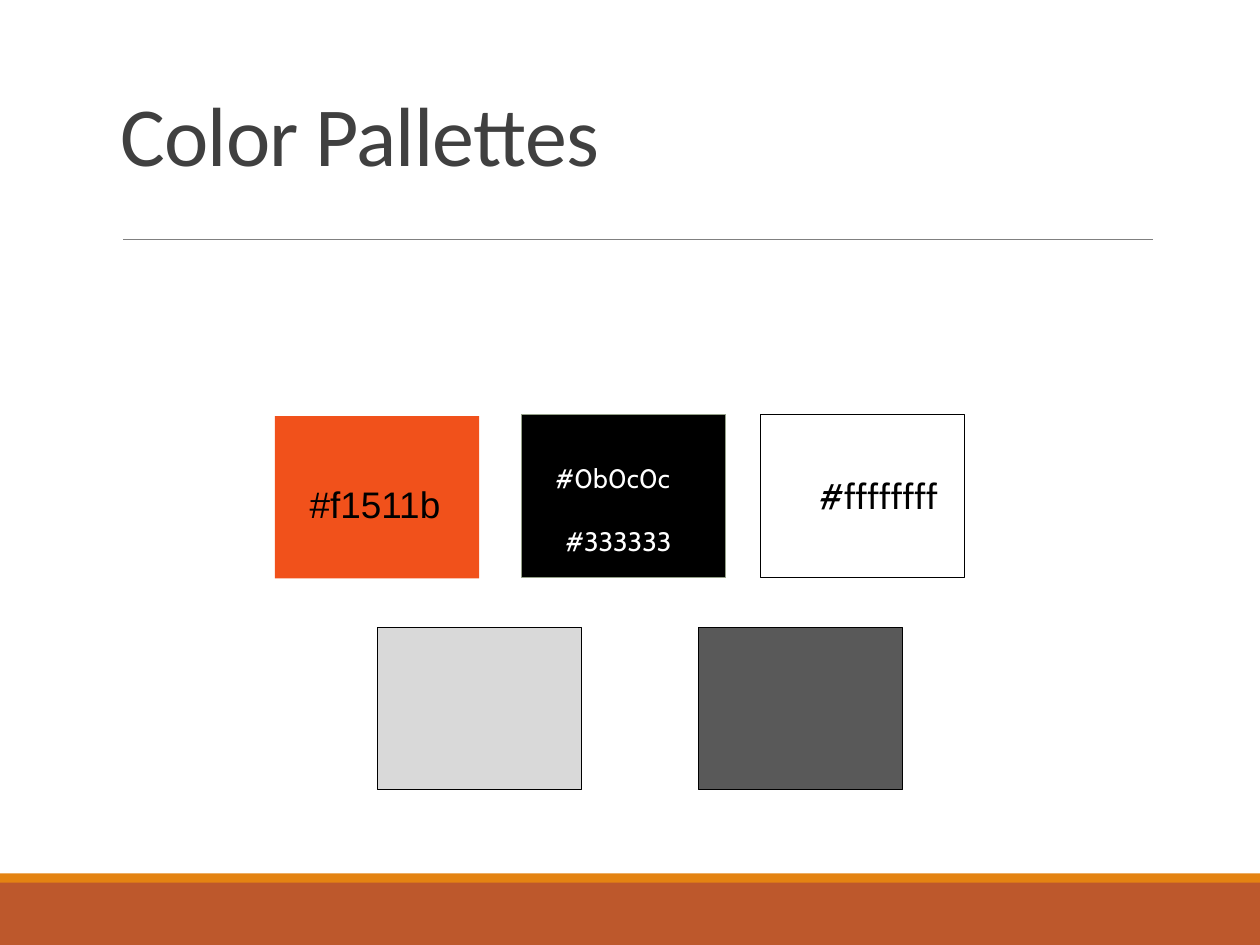
from dataclasses import dataclass

from lxml import etree
from pptx import Presentation
from pptx.dml.color import RGBColor
from pptx.enum import shapes, text
from pptx.oxml import ns
from pptx.util import Inches, Pt


@dataclass(frozen=True)
class Theme:
    orange: str = "F1511B"
    black: str = "000000"
    white: str = "FFFFFF"
    light_gray: str = "D9D9D9"
    dark_gray: str = "595959"
    sage: str = "94A088"
    title: str = "404040"
    rule: str = "808080"
    footer: str = "BD582C"
    footer_edge: str = "E48312"
    title_size: float = 85.3
    large_size: float = 37.5
    medium_size: float = 36
    small_size: float = 27


THEME = Theme()
SLIDE_WIDTH, SLIDE_HEIGHT = 17.78, 13.33
SWATCH_WIDTH, SWATCH_HEIGHT = 2.88, 2.29


def write(frame, content, *, font, size, color, spacing=None, line_spacing=None,
          anchor=text.MSO_ANCHOR.TOP):
    frame.word_wrap = True
    frame.auto_size = text.MSO_AUTO_SIZE.NONE
    frame.vertical_anchor = anchor
    paragraph = frame.paragraphs[0]
    paragraph.alignment = text.PP_ALIGN.LEFT
    paragraph.line_spacing = line_spacing
    run = paragraph.add_run()
    run.text = content
    run.font.name = font
    run.font.size = Pt(size)
    run.font.color.rgb = RGBColor.from_string(color)
    if spacing is not None:
        run.font._element.set("spc", str(round(spacing * 100)))


def add_block(slide, left, top, width, height, fill, outline=None):
    block = slide.shapes.add_shape(
        shapes.MSO_SHAPE.RECTANGLE,
        Inches(left), Inches(top), Inches(width), Inches(height))
    block.shadow.inherit = False
    block.fill.solid()
    block.fill.fore_color.rgb = RGBColor.from_string(fill)
    if outline:
        block.line.color.rgb = RGBColor.from_string(outline)
        block.line.width = Pt(1)
    else:
        block.line.fill.background()


def add_label(slide, content, left, top, width, height, **style):
    label = slide.shapes.add_textbox(
        Inches(left), Inches(top), Inches(width), Inches(height))
    write(label.text_frame, content, **style)


def add_rule(slide, left, right, y):
    rule = slide.shapes.add_connector(
        shapes.MSO_CONNECTOR.STRAIGHT,
        Inches(left), Inches(y), Inches(right), Inches(y))
    rule.line.color.rgb = RGBColor.from_string(THEME.rule)
    rule.line.width = Pt(0.5)
    etree.SubElement(rule._element.spPr, ns.qn("a:effectLst"))


def set_title(slide, content):
    title = slide.shapes.title
    title.left, title.top = Inches(1.6), Inches(0.56)
    title.width, title.height = Inches(14.67), Inches(2.82)
    write(title.text_frame, content, font="Calibri", size=THEME.title_size,
          color=THEME.title, spacing=-0.9, line_spacing=0.9,
          anchor=text.MSO_ANCHOR.MIDDLE)


def main():
    deck = Presentation()
    deck.slide_width, deck.slide_height = Inches(SLIDE_WIDTH), Inches(SLIDE_HEIGHT)
    slide = deck.slides.add_slide(deck.slide_layouts[5])

    add_block(slide, 0, 12.44, SLIDE_WIDTH, 0.89, THEME.footer)
    add_block(slide, 0, 12.32, SLIDE_WIDTH, 0.13, THEME.footer_edge)
    add_rule(slide, 1.74, 16.27, 3.38)
    set_title(slide, "Color Pallettes")

    swatches = [
        (3.88, 5.87, THEME.orange, None),
        (7.36, 5.85, THEME.black, THEME.sage),
        (10.73, 5.85, THEME.white, THEME.black),
        (5.33, 8.85, THEME.light_gray, THEME.black),
        (9.86, 8.85, THEME.dark_gray, THEME.black),
    ]
    for left, top, fill, outline in swatches:
        add_block(slide, left, top, SWATCH_WIDTH, SWATCH_HEIGHT, fill, outline)

    codes = [
        ("#f1511b", 4.27, 6.74, 2.12, 0.73, "Arial", THEME.large_size, THEME.black),
        ("#0b0c0c", 7.74, 6.46, 2.12, 0.56, "Cabin", THEME.small_size, THEME.white),
        ("#333333", 7.88, 7.35, 2.12, 0.56, "Cabin", THEME.small_size, THEME.white),
        ("#ffffffff", 11.46, 6.64, 2.04, 0.71, "Cabin", THEME.medium_size, THEME.black),
    ]
    for code, left, top, width, height, font, size, color in codes:
        add_label(slide, code, left, top, width, height,
                  font=font, size=size, color=color)

    deck.save("out.pptx")


if __name__ == "__main__":
    main()
